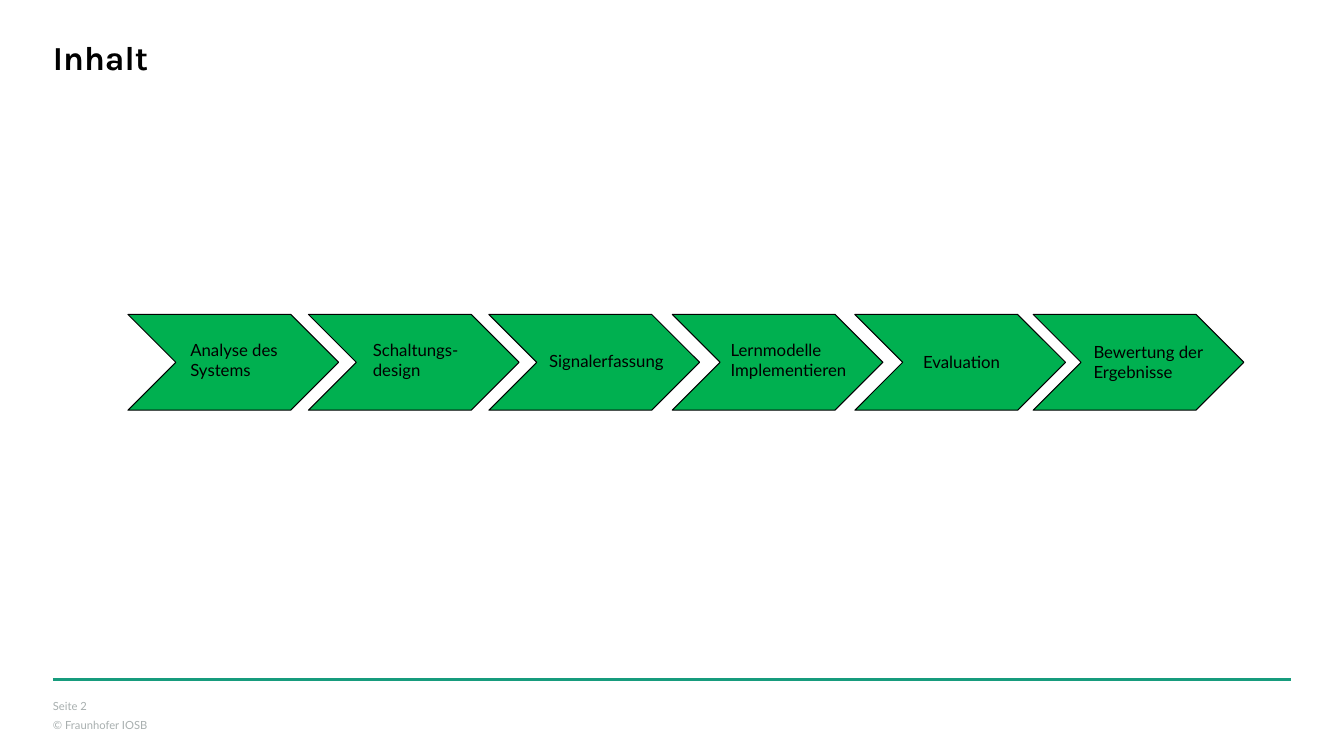
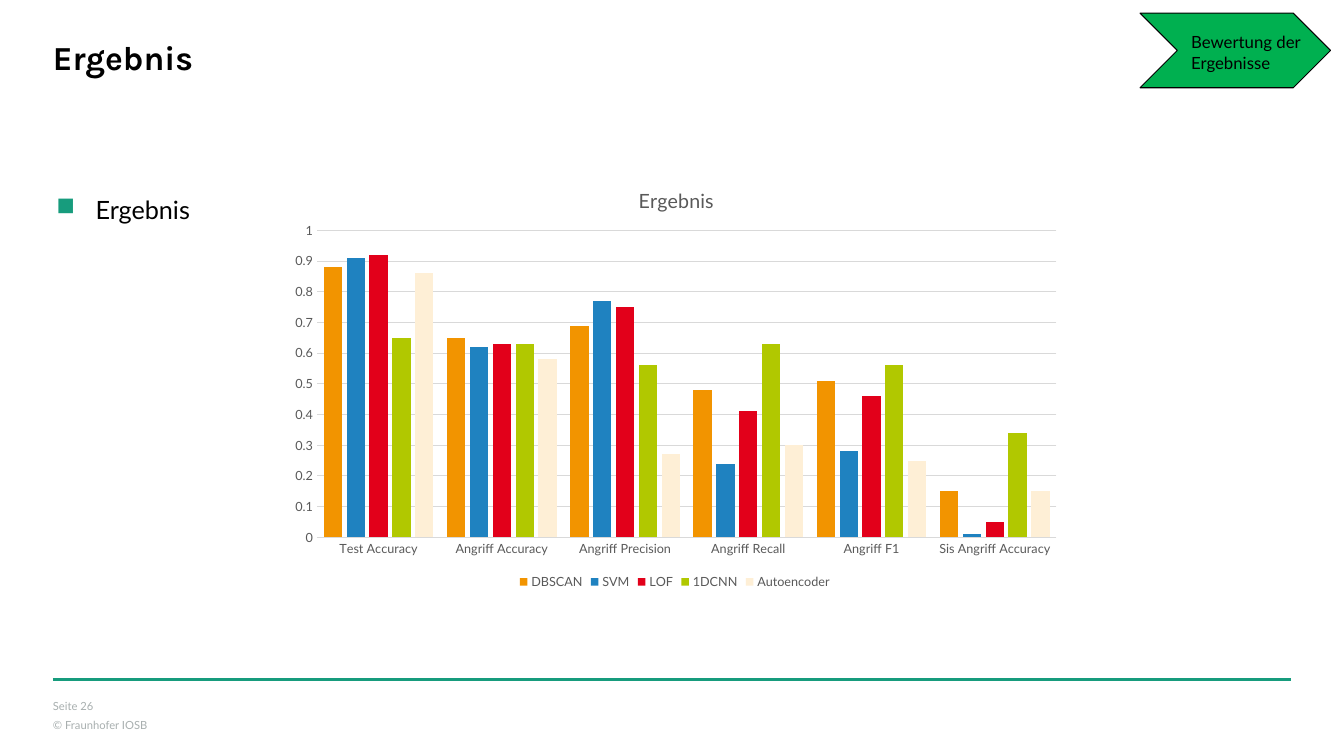
from typing import NamedTuple

from lxml import etree
from pptx import Presentation
from pptx import util as u
from pptx.chart.data import CategoryChartData
from pptx.dml.color import RGBColor
from pptx.enum import chart as ch
from pptx.enum import shapes, text
from pptx.oxml import parse_xml
from pptx.oxml.ns import nsdecls, qn

Pt = u.Pt
COLORS = {
    "black": "000000", "green": "00B050", "teal": "179C7D", "footer": "A8AFAF",
    "label": "595959", "grid": "D9D9D9", "orange": "F29400", "blue": "1F82C0",
    "red": "E2001A", "lime": "B1C800", "cream": "FEEFD6",
}
TITLE_FONT, BODY_FONT = "Karla", "Lato"
MARGIN = 37.8


class Step(NamedTuple):
    """A chevron's left edge with the box of its label."""
    label: str
    left: float
    text_left: float
    text_top: float
    text_width: float


class Series(NamedTuple):
    name: str
    color: str
    values: tuple[float, ...]


STEPS = [
    Step("Analyse des Systems", 91.4, 128.9, 239, 95.8),
    Step("Schaltungs-design", 220.3, 259.2, 239, 80.6),
    Step("Signalerfassung", 349.2, 385.2, 247, 115.9),
    Step("Lernmodelle Implementieren", 480.2, 514.8, 239, 111.6),
    Step("Evaluation", 610.6, 652.3, 247.7, 92.2),
    Step("Bewertung der Ergebnisse", 738, 774, 240.5, 111.6),
]
CORNER_STEP = Step("Bewertung der Ergebnisse", 814.3, 843.8, 19.4, 100.8)

CATEGORIES = ["Test Accuracy", "Angriff Accuracy", "Angriff Precision",
              "Angriff Recall", "Angriff F1", "Sis Angriff Accuracy"]
SERIES = [
    Series("DBSCAN", "orange", (0.88, 0.65, 0.69, 0.48, 0.51, 0.15)),
    Series("SVM", "blue", (0.91, 0.62, 0.77, 0.24, 0.28, 0.01)),
    Series("LOF", "red", (0.92, 0.63, 0.75, 0.41, 0.46, 0.05)),
    Series("1DCNN", "lime", (0.65, 0.63, 0.56, 0.63, 0.56, 0.34)),
    Series("Autoencoder", "cream", (0.86, 0.58, 0.27, 0.3, 0.25, 0.15)),
]


def rgb(name: str) -> RGBColor:
    return RGBColor.from_string(COLORS[name])


def set_font(font, size: float, color: str, name: str = BODY_FONT, bold: bool = False) -> None:
    font.name, font.size, font.bold = name, Pt(size), bold
    font.color.rgb = rgb(color)


def clear_insets(tf) -> None:
    tf.margin_left = tf.margin_top = tf.margin_right = tf.margin_bottom = 0


def add_text(slide, content: str, left: float, top: float, width: float, height: float,
             size: float, color: str = "black"):
    tf = slide.shapes.add_textbox(Pt(left), Pt(top), Pt(width), Pt(height)).text_frame
    tf.word_wrap = True
    tf.text = content
    for p in tf.paragraphs:
        set_font(p.font, size, color)
    return tf


# Shared slide frame: title, rule and footer
def add_slide(prs, title: str, number: int):
    s = prs.slides.add_slide(prs.slide_layouts[5])
    sp = s.shapes.title
    sp.left, sp.top, sp.width, sp.height = Pt(MARGIN), Pt(26.6), Pt(884.4), Pt(28.8)
    tf = sp.text_frame
    tf.text = title
    tf.auto_size = text.MSO_AUTO_SIZE.NONE
    tf.vertical_anchor = text.MSO_ANCHOR.MIDDLE
    clear_insets(tf)
    p = tf.paragraphs[0]
    p.alignment = text.PP_ALIGN.LEFT
    set_font(p.font, 24, "black", TITLE_FONT, True)

    rule = s.shapes.add_connector(shapes.MSO_CONNECTOR.STRAIGHT,
                                  Pt(MARGIN), Pt(485.5), Pt(922.2), Pt(485.5))
    rule.line.color.rgb, rule.line.width = rgb("teal"), Pt(2.5)
    etree.SubElement(rule._element.spPr, qn("a:effectLst"))

    footer = add_text(s, f"Seite {number}\n© Fraunhofer IOSB", MARGIN, 499.7, 141.8, 24.5,
                      8, "footer")
    clear_insets(footer)
    footer.paragraphs[1].space_before = Pt(4)
    return s


def add_step(slide, step: Step, top: float, width: float, height: float) -> None:
    sp = slide.shapes.add_shape(shapes.MSO_SHAPE.CHEVRON, Pt(step.left), Pt(top),
                                Pt(width), Pt(height))
    sp.shadow.inherit = False
    sp.fill.solid()
    sp.fill.fore_color.rgb = rgb("green")
    sp.line.color.rgb, sp.line.width = rgb("black"), Pt(0.75)
    add_text(slide, step.label, step.text_left, step.text_top, step.text_width, 36, 12)


def add_bullet(slide, content: str) -> None:
    tf = add_text(slide, content, 40.3, 139, 150, 24, 18)
    clear_insets(tf)
    pPr = tf.paragraphs[0]._p.get_or_add_pPr()
    pPr.set("marL", str(Pt(28)))
    pPr.set("indent", str(Pt(-28)))
    bullet = (f'<a:buClr {nsdecls("a")}><a:srgbClr val="{COLORS["teal"]}"/></a:buClr>',
              f'<a:buChar {nsdecls("a")} char="■"/>')
    for position, xml in enumerate(bullet):
        pPr.insert(position, parse_xml(xml))


# Chart
def place(element, before: str, inner: bool = False, **fractions: float) -> None:
    """Fix a chart part at fractions of the chart's size."""
    for old in element.findall(qn("c:layout")):
        element.remove(old)
    target = '<c:layoutTarget val="inner"/>' if inner else ""
    modes = "".join(f'<c:{k}Mode val="edge"/>' for k in ("x", "y"))
    sizes = "".join(f'<c:{k} val="{v}"/>' for k, v in fractions.items())
    element.find(qn(before)).addprevious(parse_xml(
        f'<c:layout {nsdecls("c")}><c:manualLayout>{target}{modes}{sizes}'
        '</c:manualLayout></c:layout>'))


def add_result_chart(slide) -> None:
    data = CategoryChartData()
    data.categories = CATEGORIES
    for series in SERIES:
        data.add_series(series.name, series.values)
    chart = slide.shapes.add_chart(ch.XL_CHART_TYPE.COLUMN_CLUSTERED, Pt(198), Pt(115.2),
                                   Pt(568), Pt(308.9), data).chart
    set_font(chart.font, 10, "black")

    chart.has_title = True
    tf = chart.chart_title.text_frame
    tf.text = "Ergebnis"
    set_font(tf.paragraphs[0].font, 14, "label")
    place(chart.chart_title._element, "c:overlay", x=0.45, y=0.05)

    chart.has_legend = True
    chart.legend.position = ch.XL_LEGEND_POSITION.BOTTOM
    chart.legend.include_in_layout = False
    set_font(chart.legend.font, 9, "label")

    plot = chart.plots[0]
    plot.gap_width, plot.overlap, plot.vary_by_categories = 75, -25, False
    for drawn, series in zip(plot.series, SERIES):
        drawn.format.fill.solid()
        drawn.format.fill.fore_color.rgb = rgb(series.color)

    value, category = chart.value_axis, chart.category_axis
    for axis in (value, category):
        axis.major_tick_mark = axis.minor_tick_mark = ch.XL_TICK_MARK.NONE
        set_font(axis.tick_labels.font, 9, "label")
    value.minimum_scale, value.maximum_scale, value.major_unit = 0, 1, 0.1
    value.format.line.fill.background()
    value.has_major_gridlines = True
    for line in (value.major_gridlines.format.line, category.format.line):
        line.color.rgb, line.width = rgb("grid"), Pt(0.75)
    plot_area = chart._chartSpace.chart.plotArea
    place(plot_area, "c:barChart", inner=True, x=0.05, y=0.16, w=0.93, h=0.71)


def main() -> None:
    prs = Presentation()
    prs.slide_width, prs.slide_height = Pt(960), Pt(540)

    # Contents
    s = add_slide(prs, "Inhalt", 2)
    for step in STEPS:
        add_step(s, step, 224.6, 150.5, 68.4)

    # Results
    s = add_slide(prs, "Ergebnis", 26)
    add_bullet(s, "Ergebnis")
    add_result_chart(s)
    add_step(s, CORNER_STEP, 9.4, 136.1, 53.3)

    prs.save("out.pptx")


if __name__ == "__main__":
    main()
